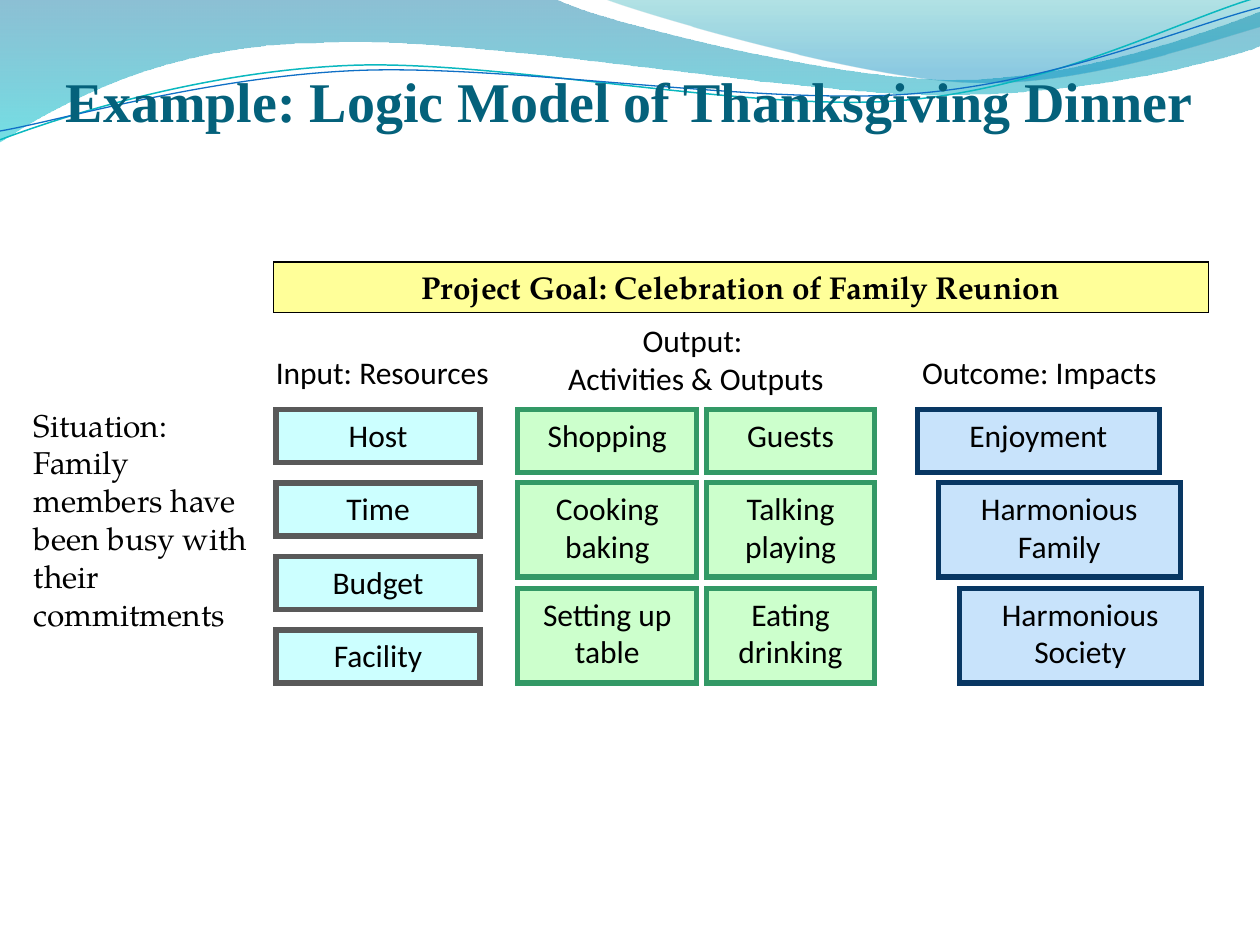
"""Build the Thanksgiving dinner logic model slide."""
from lxml.etree import SubElement
from pptx import Presentation
from pptx.dml.color import RGBColor
from pptx.enum.shapes import MSO_SHAPE as SHAPE
from pptx.enum.text import MSO_ANCHOR as ANCHOR, MSO_AUTO_SIZE as AUTO, PP_ALIGN as ALIGN
from pptx.oxml.ns import qn
from pptx.util import Inches, Pt

COLORS = {
    "title": "04617B", "text": "000000",
    "goal": "FFFF99", "goal line": "000000",
    "input": "CCFFFF", "input line": "595959",
    "output": "CCFFCC", "output line": "339966",
    "outcome": "C8E3FB", "outcome line": "083763",
    "wave teal": "0AB8BF", "wave blue": "0F6FC6",
    "band blue": "0074A1", "band cyan": "00C6CF",
    "band green": "00A1A9", "band azure": "008BBF",
}
SERIF, SANS = "TeX Gyre Pagella", "Calibri"

prs = Presentation()
prs.slide_width, prs.slide_height = Inches(10), Inches(7.5)
slide = prs.slides.add_slide(prs.slide_layouts[5])
shapes = slide.shapes


def write(shape, text, font=SANS, size=18, color="text", bold=False, align=ALIGN.CENTER,
          anchor=ANCHOR.TOP, wrap=True, fit=AUTO.NONE):
    frame = shape.text_frame
    frame.text = text
    frame_format = {"word_wrap": wrap, "vertical_anchor": anchor, "auto_size": fit}
    for key, value in frame_format.items():
        setattr(frame, key, value)
    for paragraph in frame.paragraphs:
        paragraph.alignment = align
        for run in paragraph.runs:
            style = {"name": font, "size": Pt(size), "bold": bold}
            for key, value in style.items():
                setattr(run.font, key, value)
            run.font.color.rgb = RGBColor.from_string(COLORS[color])


def add_box(kind, text, left, top, width, height, line_width=3, **style):
    box = shapes.add_shape(SHAPE.RECTANGLE, Inches(left), Inches(top), Inches(width), Inches(height))
    box.shadow.inherit = False
    box.fill.solid()
    box.fill.fore_color.rgb = RGBColor.from_string(COLORS[kind])
    box.line.color.rgb = RGBColor.from_string(COLORS[kind + " line"])
    box.line.width = Pt(line_width)
    SubElement(box._element.spPr.find(qn("a:ln")), qn("a:miter"), lim="800000")
    write(box, text, **style)


left_band = [
    [(0, -0.01)], [(4.4, -0.01)],
    [(4.76, 0.17), (6.64, 0.63), (7.58, 0.63)],
    [(8.53, 0.63), (9.58, 0.26), (10, 0.09)],
    [(10.01, 0.36)],
    [(9.83, 0.44), (8.7, 0.76), (7.46, 0.75)],
    [(6.22, 0.75), (3.82, 0.28), (2.57, 0.34)],
    [(1.29, 0.35), (0.46, 0.83), (-0.01, 1.13)],
    [(0, -0.01)],
]
right_band = [
    [(4.79, -0.01)],
    [(5.09, 0.11), (6.82, 0.62), (7.69, 0.65)],
    [(8.56, 0.69), (9.61, 0.32), (10, 0.21)],
    [(10, 0)],
    [(4.79, -0.01)],
]
teal_wave = [
    [(0, 1.11)],
    [(0.48, 0.93), (1.58, 0.57), (2.77, 0.52)],
    [(3.95, 0.47), (5.93, 0.89), (7.13, 0.8)],
    [(8.33, 0.71), (9.38, 0.15), (9.98, -0.02)],
]
blue_wave = [
    [(0, 1.04)],
    [(0.47, 0.96), (1.64, 0.61), (2.83, 0.56)],
    [(4.03, 0.51), (5.97, 0.83), (7.17, 0.75)],
    [(8.36, 0.67), (9.41, 0.21), (10, 0.06)],
]
waves = [
    (left_band, [(0, "band blue", 45), (1, "band cyan", 55)], None),
    (right_band, [(0, "band green", 30), (0.8, "band azure", 45)], None),
    (teal_wave, None, ("wave teal", 0.85)),
    (blue_wave, None, ("wave blue", 0.75)),
]
for segments, gradient, outline in waves:
    start, *rest = [(Inches(x), Inches(y)) for segment in segments for x, y in segment]
    builder = shapes.build_freeform(*start)
    builder.add_line_segments(rest, close=gradient is not None)
    wave = builder.convert_to_shape()
    wave.shadow.inherit = False

    lines = wave._element.spPr.findall(".//" + qn("a:lnTo"))
    for segment in segments[1:]:
        pieces, lines = lines[:len(segment)], lines[len(segment):]
        if len(segment) == 3:
            curve = SubElement(pieces[0].getparent(), qn("a:cubicBezTo"))
            pieces[0].addprevious(curve)
            for piece in pieces:
                curve.append(piece[0])
                piece.getparent().remove(piece)

    if gradient:
        wave.line.fill.background()
        wave.fill.gradient()
        wave.fill.gradient_angle = 270
        for stop, (position, color, opacity) in zip(wave.fill.gradient_stops, gradient):
            stop.position = position
            stop.color.rgb = RGBColor.from_string(COLORS[color])
        for node, (position, color, opacity) in zip(wave._element.spPr.iter(qn("a:srgbClr")), gradient):
            SubElement(node, qn("a:alpha"), val=str(opacity * 1000))
    else:
        color, width = outline
        wave.fill.background()
        wave.line.color.rgb = RGBColor.from_string(COLORS[color])
        wave.line.width = Pt(width)

title = shapes.title
shapes._spTree.append(title._element)
title_place = {"left": 0.5, "top": 0.5, "width": 9, "height": 0.56}
for key, value in title_place.items():
    setattr(title, key, Inches(value))
write(title, "Example: Logic Model of Thanksgiving Dinner", "Times New Roman", 32, "title", True, anchor=ANCHOR.BOTTOM)
title_margins = {"margin_left": 0, "margin_top": 0.05, "margin_right": 0, "margin_bottom": 0}
for key, value in title_margins.items():
    setattr(title.text_frame, key, Inches(value))

situation = "Situation: Family members have been busy with their commitments"
labels = [
    (situation, 0.17, 3.17, 1.92, 1.92, {"font": SERIF, "align": ALIGN.LEFT}),
    ("Input: Resources", 2.09, 2.75, 1.91, 0.4, {"align": ALIGN.LEFT, "wrap": False}),
    ("Output: \nActivities & Outputs", 4.11, 2.5, 2.83, 0.71, {}),
    ("Outcome: Impacts", 7.22, 2.75, 2.08, 0.4, {"align": ALIGN.LEFT, "wrap": False}),
]
for text, left, top, width, height, style in labels:
    label = shapes.add_textbox(Inches(left), Inches(top), Inches(width), Inches(height))
    write(label, text, fit=AUTO.SHAPE_TO_FIT_TEXT, **style)

for row, resource in enumerate(["Host", "Time", "Budget", "Facility"]):
    add_box("input", resource, 2.19, 3.25 + row * 7 / 12, 1.62, 0.42)

rows = [
    (3.25, 0.5, "Shopping", "Guests", "Enjoyment"),
    (3.83, 0.75, "Cooking baking", "Talking playing", "Harmonious Family"),
    (4.67, 0.75, "Setting up table", "Eating drinking", "Harmonious Society"),
]
for row, (top, height, activity, output, outcome) in enumerate(rows):
    add_box("output", activity, 4.11, top, 1.42, height)
    add_box("output", output, 5.61, top, 1.33, height)
    add_box("outcome", outcome, 7.28 + row / 6, top, 1.92, height)

add_box("goal", "Project Goal: Celebration of Family Reunion", 2.17, 2.08, 7.42, 0.4, 0.75,
        font=SERIF, bold=True, fit=AUTO.SHAPE_TO_FIT_TEXT)

prs.save("out.pptx")
